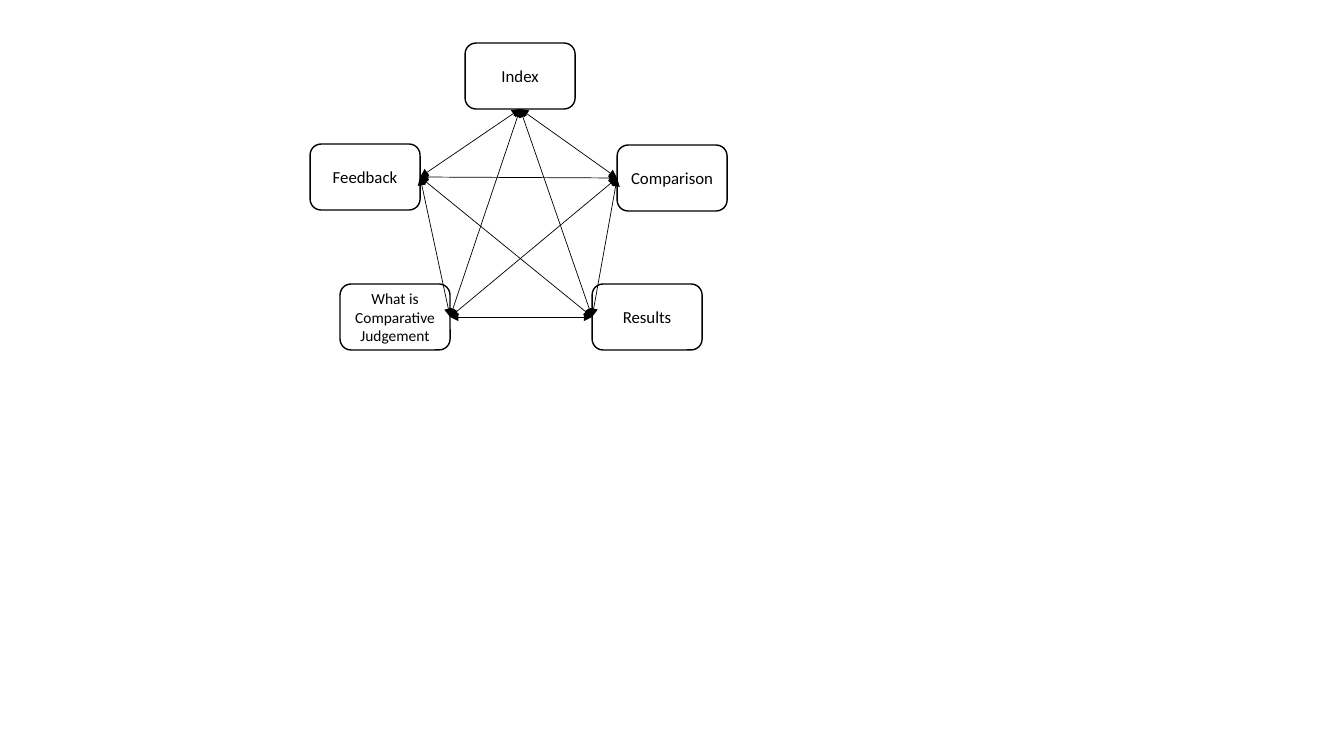
from itertools import combinations

from lxml.etree import SubElement
from pptx import Presentation
from pptx.dml.color import RGBColor
from pptx.enum.shapes import MSO_CONNECTOR, MSO_SHAPE
from pptx.enum.text import MSO_ANCHOR, PP_ALIGN
from pptx.oxml.ns import qn
from pptx.util import Inches, Pt

PX = 914400 / 100.8
BLACK = RGBColor.from_string("000000")
BOX_W, BOX_H = 110, 66
LEFT, BOTTOM, RIGHT = 1, 2, 3


def add_text(s, text, size=12, font="Calibri", color=BLACK):
    tf = s.text_frame
    tf.word_wrap = True
    tf.vertical_anchor = MSO_ANCHOR.MIDDLE
    p = tf.paragraphs[0]
    p.alignment = PP_ALIGN.CENTER
    r = p.add_run()
    r.text = text
    r.font.size = Pt(size)
    r.font.name = font
    r.font.color.rgb = color


prs = Presentation()
prs.slide_width = Inches(13.33)
prs.slide_height = Inches(7.5)
slide = prs.slides.add_slide(prs.slide_layouts[6])

# Page name, left, top, text size, side where its links meet
pages = [
    ("Index", 465, 43, 12, BOTTOM),
    ("Comparison", 617, 145, 12, LEFT),
    ("Results", 592, 284, 12, LEFT),
    ("What is Comparative Judgement", 340, 284, 11, RIGHT),
    ("Feedback", 310, 144, 12, RIGHT),
]

ends = []
for name, x, y, size, side in pages:
    box = slide.shapes.add_shape(
        MSO_SHAPE.ROUNDED_RECTANGLE,
        *[round(v * PX) for v in (x, y, BOX_W, BOX_H)])
    box.shadow.inherit = False
    box.fill.background()
    box.line.color.rgb = BLACK
    box.line.width = Pt(1)
    add_text(box, name, size=size)
    ends.append((box, side))

# Every page links to every other page, in both directions
for start, end in combinations(ends, 2):
    link = slide.shapes.add_connector(MSO_CONNECTOR.STRAIGHT, 0, 0, 0, 0)
    link.begin_connect(*start)
    link.end_connect(*end)
    link.line.color.rgb = BLACK
    link.line.width = Pt(0.5)
    ln = link.line._get_or_add_ln()
    for tag in ("a:headEnd", "a:tailEnd"):
        SubElement(ln, qn(tag), type="triangle")
    SubElement(link._element.spPr, qn("a:effectLst"))

prs.save("out.pptx")
